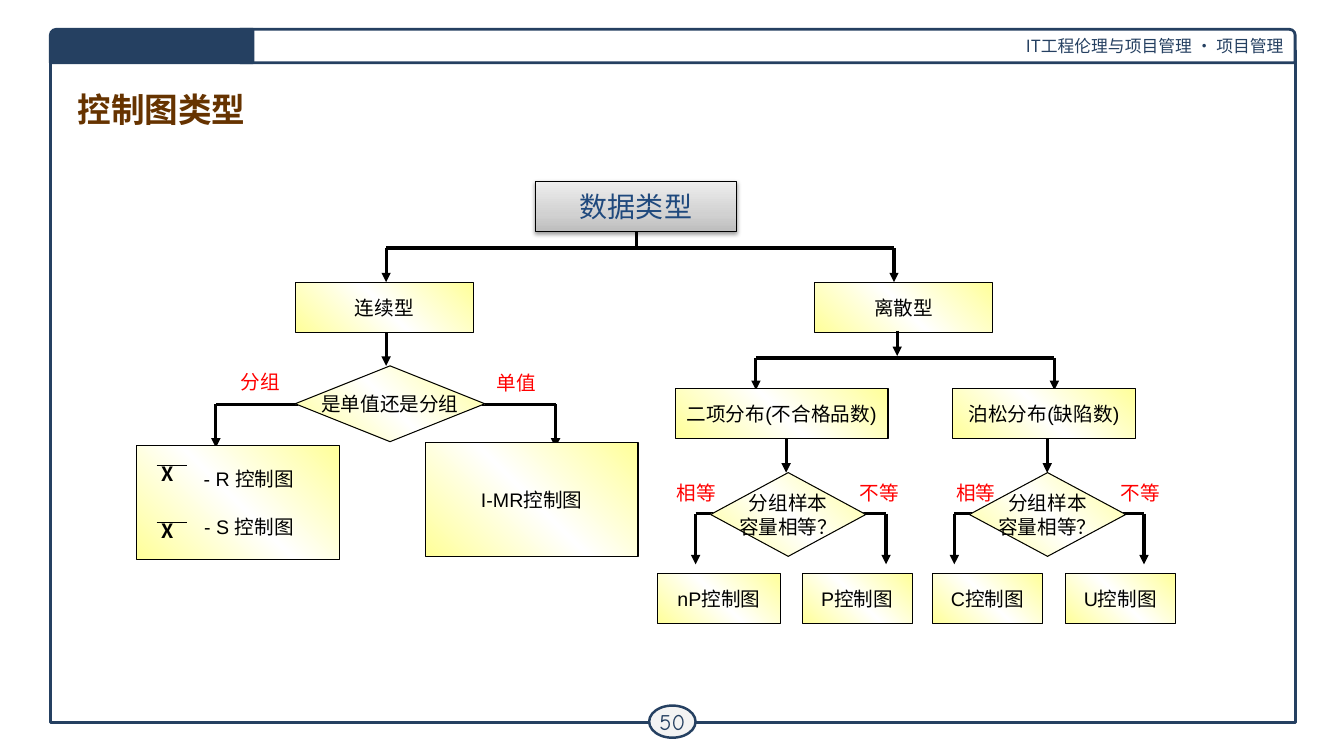
from lxml.etree import SubElement
from pptx import Presentation
from pptx.dml.color import RGBColor
from pptx.enum.shapes import MSO_CONNECTOR, MSO_SHAPE
from pptx.enum.text import MSO_ANCHOR, PP_ALIGN
from pptx.oxml.ns import qn
from pptx.util import Cm, Pt

NAVY, BLACK, RED, WHITE = "254061", "000000", "FF0000", "FFFFFF"
CJK = "Noto Sans CJK SC"
YELLOW = ([(0, "FFFF99"), (50, "FFFFFF"), (100, "FFFF99")], 315)
GREY = ([(0, "BDBDBD"), (35, "D1D1D1"), (100, "EEEEEE")], 270)

TITLE = "控制图类型"
HEADER = "IT工程伦理与项目管理 · 项目管理"
PAGE = "50"
ROOT = ("数据类型", 13.49, 4.57, 5.08, 1.27)
BOXES = [
    ("连续型", 7.44, 7.11, 4.5, 1.27),
    ("离散型", 20.52, 7.11, 4.5, 1.27),
    ("二项分布(不合格品数)", 17.02, 9.78, 5.36, 1.27),
    ("泊松分布(缺陷数)", 24, 9.78, 4.62, 1.27),
    ("nP控制图", 16.56, 14.45, 3.12, 1.27),
    ("P控制图", 20.22, 14.45, 2.77, 1.27),
    ("C控制图", 23.5, 14.45, 2.77, 1.27),
    ("U控制图", 26.85, 14.45, 2.77, 1.27),
    ("I-MR控制图", 10.72, 11.15, 5.36, 2.87),
]
XBAR_BOX = ("- R 控制图\n- S 控制图", 3.43, 11.23, 5.13, 2.87)
DECISIONS = [
    ("是单值还是分组", 7.44, 9.22, 4.78, 1.91),
    ("分组样本\n容量相等？", 17.91, 11.91, 3.91, 2.11),
    ("分组样本\n容量相等？", 24.43, 11.91, 3.94, 2.11),
]
LABELS = [
    ("分组", 5.66, 9.19, 1.8),
    ("单值", 12.12, 9.22, 1.8),
    ("相等", 16.54, 11.99, 2.01),
    ("不等", 21.06, 11.99, 2.21),
    ("相等", 23.32, 11.99, 2.54),
    ("不等", 27.61, 11.99, 2.26),
]
FORKS = [
    (9.73, 22.53, 6.25, 7.11),
    (5.44, 14, 10.19, 11.28),
    (19.05, 26.57, 9.02, 9.83),
    (17.53, 22.33, 12.95, 14.22),
    (24.05, 28.83, 12.95, 14.22),
]
STEMS = [
    (9.73, 8.38, 9.22),
    (22.61, 8.33, 8.97),
    (19.81, 11.05, 11.91),
    (26.39, 11.05, 11.91),
]
XBARS = [11.51, 12.95]


def color(value):
    return RGBColor.from_string(value)


def write(tf, text, size, hue, font="Arial", bold=False, align=PP_ALIGN.CENTER, gap=0):
    for i, line in enumerate(text.split("\n")):
        p = tf.paragraphs[0] if i == 0 else tf.add_paragraph()
        p.alignment = align
        if i and gap:
            p.space_before = Pt(gap)
        r = p.add_run()
        r.text = line
        r.font.size, r.font.bold, r.font.name = Pt(size), bold, font
        r.font.color.rgb = color(hue)
        SubElement(r.font._element, qn("a:ea")).set("typeface", CJK)


def shape(kind, x, y, w, h, fill=None, line=None, width=0.75):
    sp = s.shapes.add_shape(kind, Cm(x), Cm(y), Cm(w), Cm(h))
    if fill is None:
        sp.fill.background()
    elif isinstance(fill, str):
        sp.fill.solid()
        sp.fill.fore_color.rgb = color(fill)
    else:
        stops, angle = fill
        sp.fill.gradient()
        sp.fill.gradient_angle = 360 - angle
        stop_list = sp._element.spPr.find(".//" + qn("a:gsLst"))
        stop_list.clear()
        for position, hue in stops:
            gs = SubElement(stop_list, qn("a:gs"), pos=str(position * 1000))
            SubElement(gs, qn("a:srgbClr"), val=hue)
    if line:
        sp.line.color.rgb = color(line)
        sp.line.width = Pt(width)
    else:
        sp.line.fill.background()
    sp.shadow.inherit = False
    sp.text_frame.vertical_anchor = MSO_ANCHOR.MIDDLE
    sp.text_frame.word_wrap = False
    return sp


def line(x1, y1, x2, y2, width=2.25, arrow=False):
    c = s.shapes.add_connector(MSO_CONNECTOR.STRAIGHT, Cm(x1), Cm(y1), Cm(x2), Cm(y2))
    c.line.color.rgb = color(BLACK)
    c.line.width = Pt(width)
    if arrow:
        SubElement(c.line._get_or_add_ln(), qn("a:tailEnd"), type="triangle")
    SubElement(c._element.spPr, qn("a:effectLst"))


prs = Presentation()
prs.slide_width, prs.slide_height = Cm(33.87), Cm(19.05)
s = prs.slides.add_slide(prs.slide_layouts[5])

title = s.shapes.title
title.left, title.top, title.width, title.height = Cm(1.7), Cm(2.13), Cm(30.48), Cm(1.22)
title.text_frame.vertical_anchor = MSO_ANCHOR.MIDDLE
write(title.text_frame, TITLE, 24, "663300", "Cambria", True, PP_ALIGN.LEFT)

shape(MSO_SHAPE.RECTANGLE, 1.27, 1.27, 31.37, 16.94, None, NAVY, 2)
header = shape(MSO_SHAPE.ROUND_1_RECTANGLE, 6.05, 0.74, 26.59, 0.84, WHITE, NAVY, 2)
header.text_frame.word_wrap = True
write(header.text_frame, HEADER, 12, NAVY, CJK, align=PP_ALIGN.RIGHT)
badge = shape(MSO_SHAPE.OVAL, 16.36, 17.78, 1.17, 0.81, "F3F3F3", NAVY, 1.75)
tf = badge.text_frame
tf.margin_left = tf.margin_right = tf.margin_top = tf.margin_bottom = Cm(0.1)
write(tf, PAGE, 16, NAVY, "Comic Neue")
tab = shape(MSO_SHAPE.ROUND_1_RECTANGLE, 1.27, 0.74, 5.11, 0.84, NAVY, NAVY, 2)
tab.adjustments[0] = 0.175
tab._element.spPr.xfrm.set("flipH", "1")

for text, x, y, w in LABELS:
    write(shape(MSO_SHAPE.RECTANGLE, x, y, w, 0.86, WHITE).text_frame, text, 14, RED)

line(16.03, 5.61, 16.03, 6.25)
for left, right, bus, tip in FORKS:
    line(left, bus, right, bus)
    for x in (left, right):
        line(x, bus, x, tip, arrow=True)

root = shape(MSO_SHAPE.RECTANGLE, *ROOT[1:], GREY, BLACK)
write(root.text_frame, ROOT[0], 20, "1F497D")
effects = root._element.spPr.find(qn("a:effectLst"))
shadow = SubElement(effects, qn("a:outerShdw"), blurRad=str(Pt(3.1)), dist=str(Pt(1.6)),
                    dir="5400000", rotWithShape="0")
SubElement(SubElement(shadow, qn("a:srgbClr"), val=BLACK), qn("a:alpha"), val="38000")

for kind, nodes in ((MSO_SHAPE.RECTANGLE, BOXES), (MSO_SHAPE.FLOWCHART_DECISION, DECISIONS)):
    for text, *place in nodes:
        write(shape(kind, *place, YELLOW, BLACK).text_frame, text, 14, BLACK)

for x, start, tip in STEMS:
    line(x, start, x, tip, arrow=True)

tf = shape(MSO_SHAPE.RECTANGLE, *XBAR_BOX[1:], YELLOW, BLACK).text_frame
tf.word_wrap = True
tf.margin_left = Cm(0.81)
write(tf, XBAR_BOX[0], 14, BLACK, gap=17)
for y in XBARS:
    tf = s.shapes.add_textbox(Cm(3.81), Cm(y), Cm(1.02), Cm(0.86)).text_frame
    tf.word_wrap = False
    write(tf, "X", 14, BLACK, CJK, True, PP_ALIGN.LEFT)
    line(3.95, y + 0.22, 4.71, y + 0.22, 0.75)

prs.save("out.pptx")
